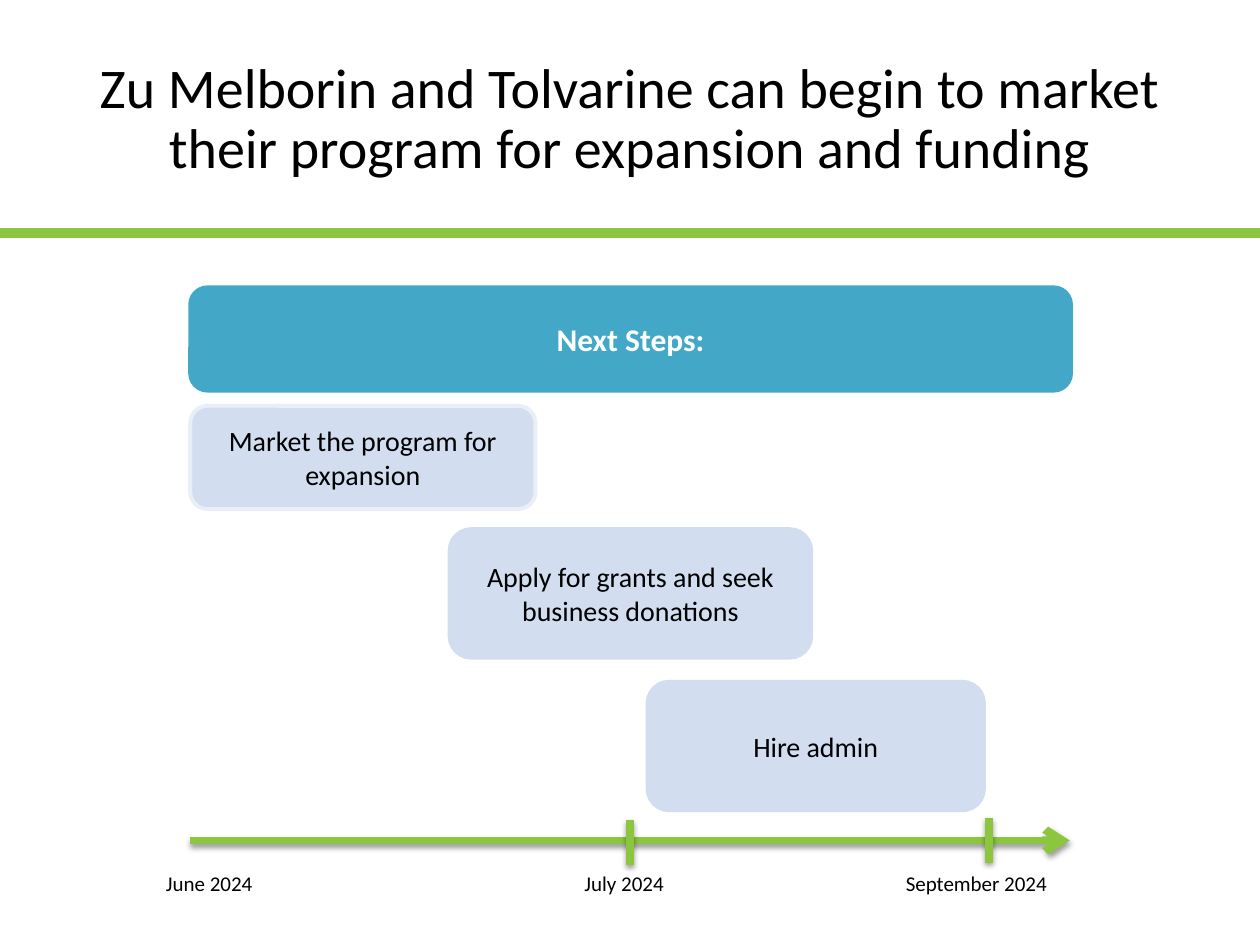
from lxml import etree
from pptx import Presentation
from pptx.dml.color import RGBColor
from pptx.enum.shapes import MSO_CONNECTOR as Conn, MSO_SHAPE as Shape
from pptx.enum.text import MSO_ANCHOR as Anchor, PP_ALIGN as Align
from pptx.oxml.ns import qn
from pptx.util import Pt

GREEN, TEAL, PALE, EDGE = "8CC63F", "43A8C7", "D2DEEF", "EAEFF7"
BLACK, WHITE = "000000", "FFFFFF"


def color(code):
    return RGBColor.from_string(code)


def assign(obj, vals):
    for name, val in vals.items():
        setattr(obj, name, val)


def place(obj, box):
    names = ("left", "top", "width", "height")
    assign(obj, dict(zip(names, map(Pt, box))))


def write(frame, text, size, hue=BLACK, bold=False, align=Align.CENTER,
          anchor=Anchor.MIDDLE, pad=(7.2, 3.6)):
    side, edge = map(Pt, pad)
    assign(frame, {"word_wrap": True, "vertical_anchor": anchor,
                   "margin_left": side, "margin_right": side,
                   "margin_top": edge, "margin_bottom": edge})
    para = frame.paragraphs[0]
    para.alignment = align
    run = para.add_run()
    run.text = text
    assign(run.font, {"name": "Calibri", "size": Pt(size), "bold": bold})
    run.font.color.rgb = color(hue)
    return para


def add_line(slide, start, end, width, shade=False, head=False):
    line = slide.shapes.add_connector(Conn.STRAIGHT, *map(Pt, start + end))
    line.line.width = Pt(width)
    line.line.color.rgb = color(GREEN)
    if head:
        stroke = line.line._get_or_add_ln()
        etree.SubElement(stroke, qn("a:tailEnd"), type="arrow")
    props = line._element.spPr
    fx = etree.SubElement(props, qn("a:effectLst"))
    if shade:
        drop = etree.SubElement(fx, qn("a:outerShdw"), blurRad=str(Pt(3.1)),
                                dist=str(Pt(1.6)), dir="5400000", rotWithShape="0")
        tint = etree.SubElement(drop, qn("a:srgbClr"), val=BLACK)
        etree.SubElement(tint, qn("a:alpha"), val="38000")


def add_card(slide, box, text, fill=PALE, edge=PALE, **style):
    card = slide.shapes.add_shape(Shape.ROUNDED_RECTANGLE, *map(Pt, box))
    card.shadow.inherit = False
    card.fill.solid()
    card.fill.fore_color.rgb = color(fill)
    card.line.color.rgb = color(edge)
    card.line.width = Pt(2.25)
    write(card.text_frame, text, **style)


def add_title(slide, box, text):
    title = slide.shapes.title
    place(title, box)
    para = write(title.text_frame, text, 32)
    para.line_spacing = 0.9


def add_steps(slide, box):
    left, top, width, height = box
    add_card(slide, (left, top, width, 59), "Next Steps:", TEAL, TEAL,
             size=18, hue=WHITE, bold=True)
    steps = [
        ("Market the program for expansion", 0, 67.7, 197.3, 59, EDGE),
        ("Apply for grants and seek business donations", 148.3, 138.2, 206.6, 73.4, PALE),
        ("Hire admin", 261.4, 225.4, 192.2, 73.4, PALE),
    ]
    for text, x, y, wide, high, edge in steps:
        add_card(slide, (left + x, top + y, wide, high), text, edge=edge,
                 size=16, pad=(5, 2.9))


def add_axis(slide, box):
    left, top, width, height = box
    mid = top + 13
    add_line(slide, (left, mid), (left + width, mid), 4.5, True, True)
    for x, y in ((360, top + 1.4), (565.2, top)):
        add_line(slide, (x, y), (x, y + 25.6), 4.5, True)
    dates = [("June 2024", 87.8, 64.8), ("July 2024", 326.9, 64.8),
             ("September 2024", 510.5, 101.5)]
    for text, x, wide in dates:
        label = slide.shapes.add_textbox(*map(Pt, (x, top + 26.6, wide, 21.6)))
        write(label.text_frame, text, 12, align=Align.LEFT, anchor=Anchor.TOP)


def main():
    deck = Presentation()
    assign(deck, {"slide_width": Pt(720), "slide_height": Pt(540)})
    slide = deck.slides.add_slide(deck.slide_layouts[5])
    add_line(slide, (0, 133.2), (720, 133.2), 6)
    add_title(slide, (15.8, 16.6, 688.3, 104.4),
              "Zu Melborin and Tolvarine can begin to market "
              "their program for expansion and funding")
    add_axis(slide, (108.7, 467.3, 502.6, 48.2))
    add_steps(slide, (108.7, 164.2, 503.3, 298.8))
    deck.save("out.pptx")


if __name__ == "__main__":
    main()
